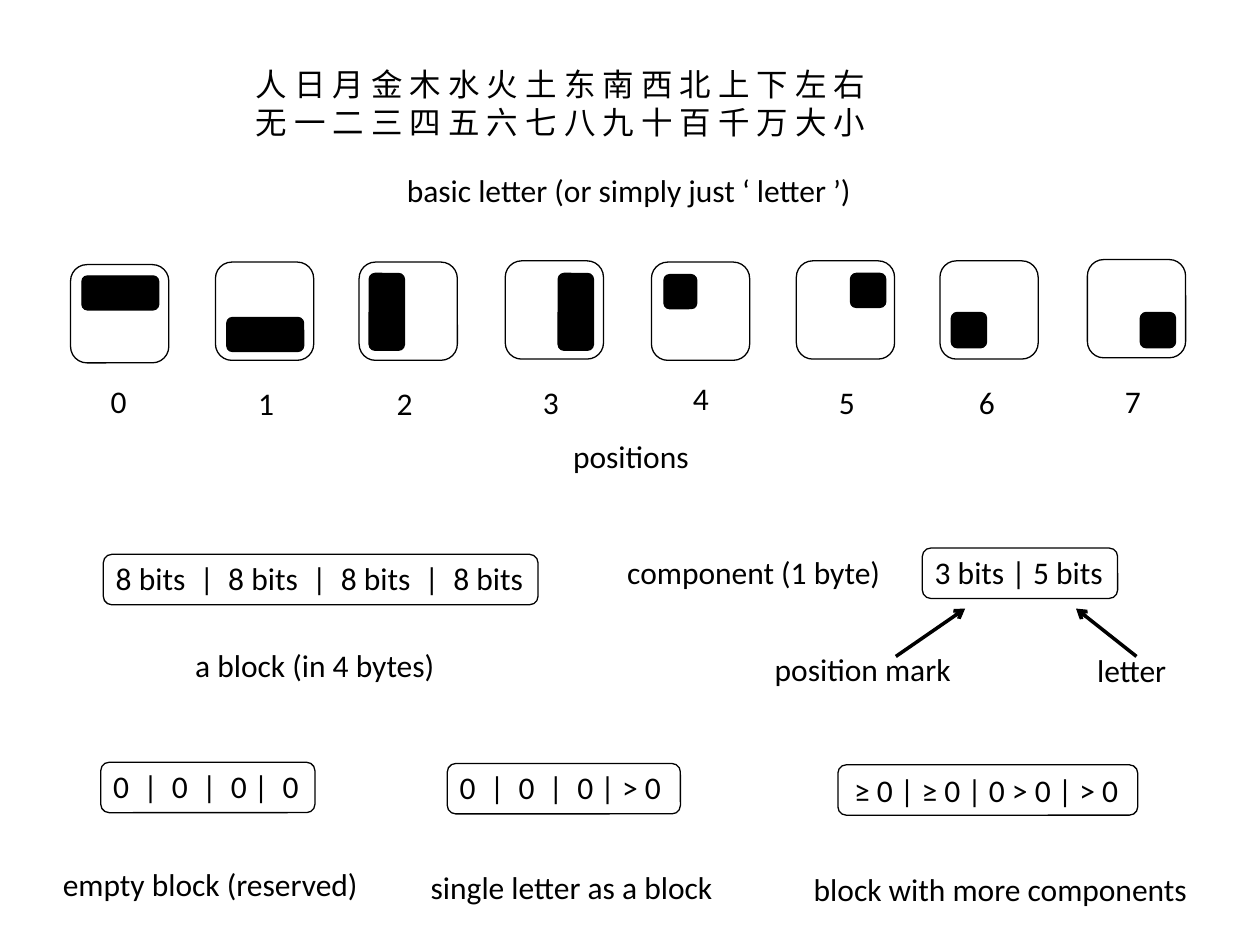
from pptx import Presentation
from pptx.dml.color import RGBColor
from pptx.enum import shapes, text
from pptx.oxml.ns import qn
from pptx.util import Inches, Pt
from lxml import etree

INK = "000000"
FONT = {"name": "Calibri", "size": Pt(18)}
TILE = 0.78


def rgb(value):
    return RGBColor.from_string(value)


def add_text(slide, box, *lines, wrap=False):
    sp = slide.shapes.add_textbox(*map(Inches, box))
    tf = sp.text_frame
    tf.word_wrap = wrap
    tf.auto_size = text.MSO_AUTO_SIZE.SHAPE_TO_FIT_TEXT
    for i, line in enumerate(lines):
        p = tf.add_paragraph() if i else tf.paragraphs[0]
        r = p.add_run()
        r.text = line
        for key, value in FONT.items():
            setattr(r.font, key, value)
        r.font.color.rgb = rgb(INK)


def add_round_rect(slide, box, fill=None):
    sp = slide.shapes.add_shape(
        shapes.MSO_SHAPE.ROUNDED_RECTANGLE, *map(Inches, box))
    sp.shadow.inherit = False
    if fill:
        sp.fill.solid()
        sp.fill.fore_color.rgb = rgb(fill)
    else:
        sp.fill.background()
    sp.line.color.rgb = rgb(INK)
    sp.line.width = Pt(0.75)


def add_arrow(slide, start, end):
    line = slide.shapes.add_connector(
        shapes.MSO_CONNECTOR.STRAIGHT, *map(Inches, start + end))
    line.line.color.rgb = rgb(INK)
    line.line.width = Pt(2)
    etree.SubElement(line.line._get_or_add_ln(), qn("a:tailEnd"), type="arrow")
    etree.SubElement(line._element.spPr, qn("a:effectLst"))


def add_bits(slide, box, bits, dx=0, dy=-0.01, extra=0):
    """Outlined byte layout; dx, dy and extra adjust its text box."""
    left, top, width, height = box
    add_round_rect(slide, box)
    add_text(slide, (left + dx, top + dy, width + extra, height), bits, wrap=True)


def add_position(slide, left, top, number, label, mark):
    """Tile with a black mark and its number, both offset from the tile."""
    add_round_rect(slide, (left, top, TILE, TILE))
    add_text(slide, (left + label[0], top + label[1], 0.33, 0.4), str(number))
    dx, dy, width, height = mark
    add_round_rect(slide, (left + dx, top + dy, width, height), INK)


def add_letters(slide, left, top):
    add_text(slide, (left, top, 6.15, 0.71),
             "人 日 月 金 木 水 火 土 东 南 西 北 上 下 左 右",
             "无 一 二 三 四 五 六 七 八 九 十 百 千 万 大 小", wrap=True)
    add_text(slide, (left + 1.2, top + 0.84, 3.79, 0.4),
             "basic letter (or simply just ‘ letter ’)")


def add_positions(slide, left, top):
    # tile left, tile top, label offset, mark offset and size
    tiles = [
        (0, 0.04, (0.22, 0.88), (0.09, 0.09, 0.61, 0.27)),
        (1.15, 0.02, (0.24, 0.92), (0.09, 0.44, 0.61, 0.27)),
        (2.29, 0.02, (0.2, 0.92), (0.08, 0.09, 0.28, 0.61)),
        (3.45, 0.01, (0.2, 0.92), (0.42, 0.1, 0.28, 0.61)),
        (4.61, 0.02, (0.23, 0.88), (0.1, 0.1, 0.26, 0.27)),
        (5.76, 0.01, (0.24, 0.92), (0.43, 0.1, 0.28, 0.27)),
        (6.9, 0.01, (0.21, 0.92), (0.09, 0.41, 0.28, 0.28)),
        (8.07, 0, (0.2, 0.92), (0.42, 0.42, 0.28, 0.28)),
    ]
    for number, (dx, dy, label, mark) in enumerate(tiles):
        add_position(slide, left + dx, top + dy, number, label, mark)
    add_text(slide, (left + 3.89, top + 1.36, 1.13, 0.4), "positions")


def add_block(slide, left, top):
    add_bits(slide, (left, top, 3.45, 0.4), "  |  ".join(["8 bits"] * 4))
    add_text(slide, (left + 0.63, top + 0.68, 2.12, 0.4), "a block (in 4 bytes)")


def add_component(slide, left, top):
    add_text(slide, (left, top - 0.01, 2.33, 0.4), "component (1 byte)", wrap=True)
    add_bits(slide, (left + 2.44, top, 1.55, 0.4), "3 bits | 5 bits", extra=0.15)
    parts = [("position mark", 1.17, 0.76, 1.62, 2.23, 2.78),
             ("letter", 3.73, 0.77, 0.77, 4.14, 3.66)]
    for name, dx, dy, width, start, end in parts:
        add_text(slide, (left + dx, top + dy, width, 0.4), name)
        add_arrow(slide, (left + start, top + 0.86), (left + end, top + 0.48))


def add_block_kinds(slide, left, top):
    kinds = [
        ("0  |  0  |  0 |  0", (0.4, 0, 1.7), (0, -0.01),
         "empty block (reserved)", (0, 0.77, 2.57)),
        ("0  |  0  |  0 | > 0", (3.15, 0.01, 1.85), (0, -0.01),
         "single letter as a block", (2.92, 0.79, 2.47)),
        ("≥ 0 | ≥ 0 | 0 > 0 | > 0", (6.25, 0.02, 2.38), (0.03, 0),
         "block with more components", (5.96, 0.81, 3.2)),
    ]
    for bits, (bx, by, bw), shift, caption, (cx, cy, cw) in kinds:
        add_bits(slide, (left + bx, top + by, bw, 0.4), bits, *shift)
        add_text(slide, (left + cx, top + cy, cw, 0.4), caption)


def main():
    prs = Presentation()
    prs.slide_width, prs.slide_height = Inches(10), Inches(7.5)
    slide = prs.slides.add_slide(prs.slide_layouts[6])
    add_letters(slide, 1.93, 0.47)
    add_positions(slide, 0.56, 2.06)
    add_block(slide, 0.82, 4.4)
    add_component(slide, 4.88, 4.35)
    add_block_kinds(slide, 0.4, 6.05)
    prs.save("out.pptx")


if __name__ == "__main__":
    main()
